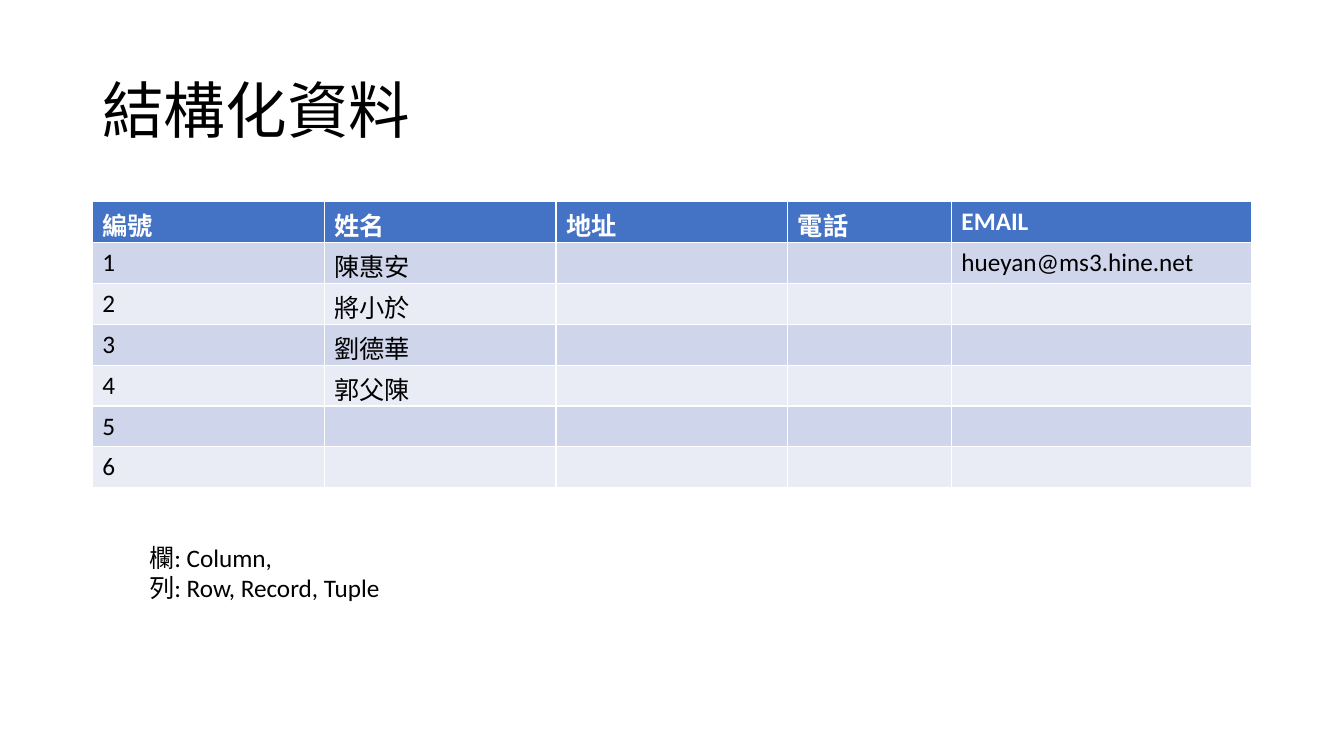
from pptx import Presentation
from pptx.dml.color import RGBColor
from pptx.enum.text import MSO_ANCHOR
from pptx.util import Pt

MIDDLE, TOP = MSO_ANCHOR.MIDDLE, MSO_ANCHOR.TOP
FONT = "Calibri"
BLACK = RGBColor(0x00, 0x00, 0x00)
WHITE = RGBColor(0xFF, 0xFF, 0xFF)
HEADER_BLUE = RGBColor(0x44, 0x72, 0xC4)
BANDS = [RGBColor(0xE9, 0xEB, 0xF5), RGBColor(0xCF, 0xD5, 0xEA)]

COLUMN_WIDTHS = [165.6, 165.6, 165.6, 116.8, 214.4]
ROW_HEIGHT = 29.2
HEADERS = ["編號", "姓名", "地址", "電話", "EMAIL"]
RECORDS = [
    ["1", "陳惠安", "", "", "hueyan@ms3.hine.net"],
    ["2", "將小於", "", "", ""],
    ["3", "劉德華", "", "", ""],
    ["4", "郭父陳", "", "", ""],
    ["5", "", "", "", ""],
    ["6", "", "", "", ""],
]


def style_paragraph(para, size, color=BLACK, bold=False):
    """Set the font of a whole paragraph."""
    para.font.name = FONT
    para.font.size = Pt(size)
    para.font.bold = bold
    para.font.color.rgb = color


def add_text(page, left, top, width, height, lines, size, anchor=TOP, spacing=1.0):
    """Add a wrapping text box with one paragraph per line."""
    box = page.shapes.add_textbox(Pt(left), Pt(top), Pt(width), Pt(height))
    frame = box.text_frame
    frame.word_wrap = True
    frame.vertical_anchor = anchor
    frame.text = "\n".join(lines)
    for para in frame.paragraphs:
        para.line_spacing = spacing
        style_paragraph(para, size)


def add_record_table(page, left, top):
    """Add the table of people with a header and banded rows."""
    rows = [HEADERS] + RECORDS
    table = page.shapes.add_table(
        len(rows), len(HEADERS), Pt(left), Pt(top),
        Pt(sum(COLUMN_WIDTHS)), Pt(ROW_HEIGHT * len(rows)),
    ).table
    for column, width in zip(table.columns, COLUMN_WIDTHS):
        column.width = Pt(width)
    for row_index, values in enumerate(rows):
        table.rows[row_index].height = Pt(ROW_HEIGHT)
        is_header = row_index == 0
        for column_index, value in enumerate(values):
            cell = table.cell(row_index, column_index)
            cell.fill.solid()
            cell.fill.fore_color.rgb = HEADER_BLUE if is_header else BANDS[row_index % 2]
            cell.text = value
            style_paragraph(
                cell.text_frame.paragraphs[0], 18, WHITE if is_header else BLACK, is_header
            )


def main():
    """Build the structured data slide and save it."""
    deck = Presentation()
    deck.slide_width, deck.slide_height = Pt(960), Pt(540)
    page = deck.slides.add_slide(deck.slide_layouts[6])
    add_text(page, 66, 28.8, 828, 104.4, ["結構化資料"], 44, MIDDLE, 0.9)
    add_record_table(page, 66, 144)
    add_text(page, 99.4, 383.8, 180, 51, ["欄: Column,", "列: Row, Record, Tuple"], 18)
    deck.save("out.pptx")


if __name__ == "__main__":
    main()
